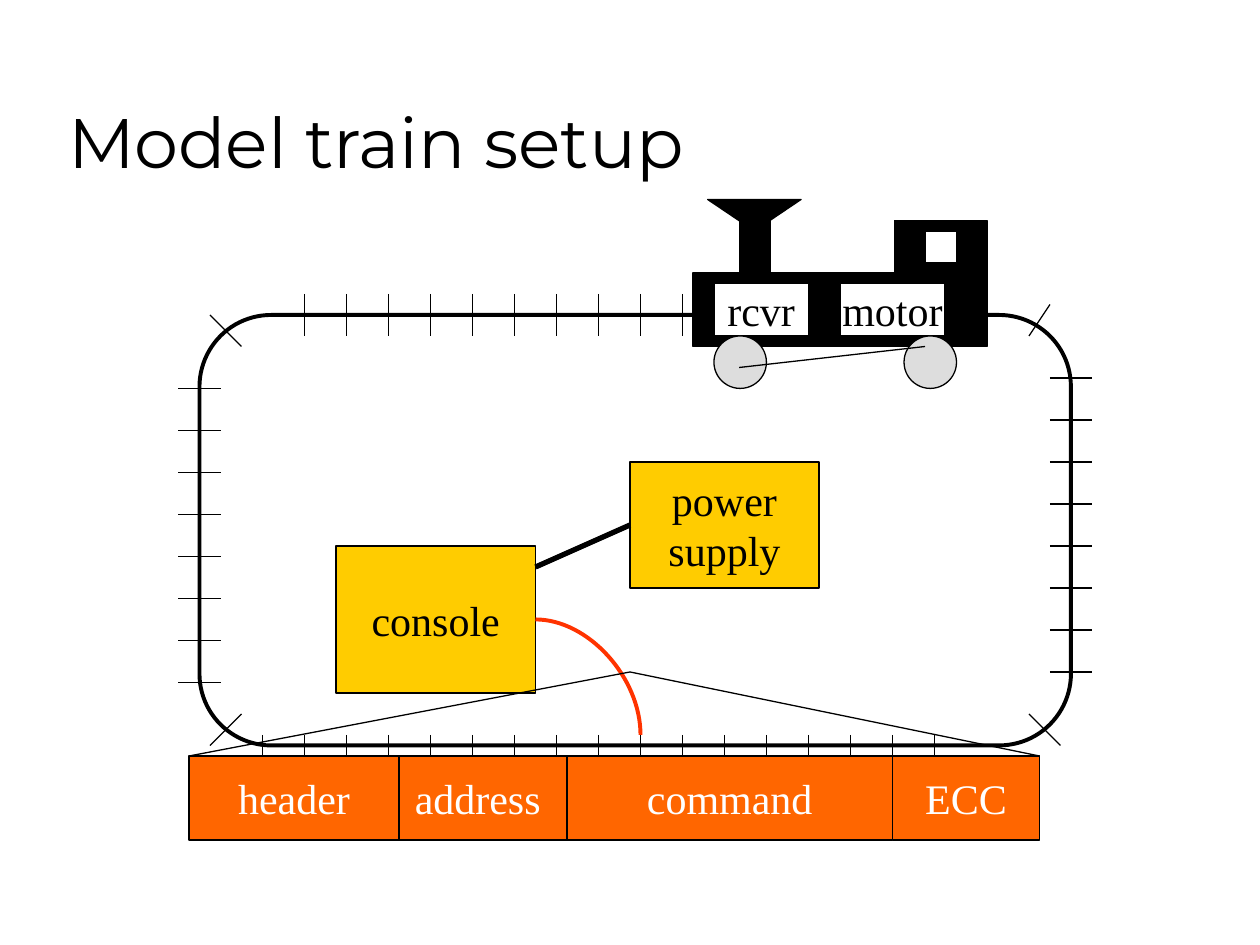
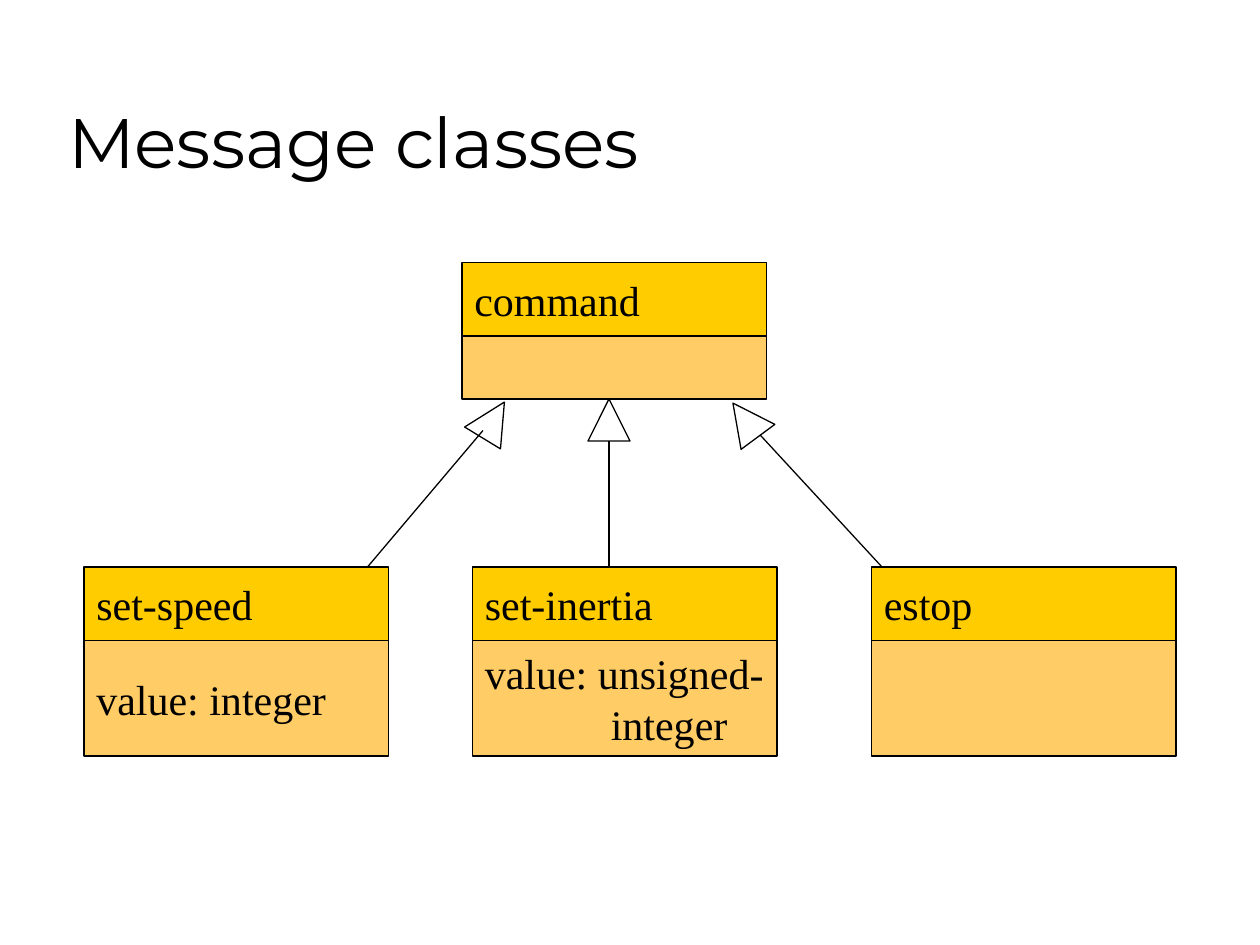
"""Build two slides on a model train: the track setup and the message classes."""
from pptx import Presentation
from pptx.dml.color import RGBColor
from pptx.enum.shapes import MSO_CONNECTOR as LINK, MSO_SHAPE as KIND
from pptx.enum.text import MSO_ANCHOR as ANCHOR, PP_ALIGN as ALIGN
from pptx.oxml.ns import qn
from pptx.oxml.xmlchemy import OxmlElement
from pptx.util import Pt

PX = 7620
BLACK = RGBColor(0, 0, 0)
WHITE = RGBColor(255, 255, 255)
GREY = RGBColor(0xDD, 0xDD, 0xDD)
GOLD = RGBColor(0xFF, 0xCC, 0)
SAND = RGBColor(0xFF, 0xCC, 0x66)
ORANGE = RGBColor(0xFF, 0x66, 0)
RED = RGBColor(0xFF, 0x33, 0)
HEAD, BODY = "Montserrat", "Times New Roman"
TAB = 120

TRACK = (190, 300, 830, 410)
STEP = 40
TOP = (290, 280, 10)
BASE = (250, 700, 17)
LEFT = (170, 370, 8)
RIGHT = (1000, 360, 8)
CORNERS = [(230, 680, 200, 710), (200, 300, 230, 330),
           (1000, 290, 980, 320), (980, 680, 1010, 710)]
ENGINE = [(660, 260, 280, 70), (704, 210, 30, 50), (852, 210, 88, 50)]
FUNNEL = (674, 190, 89, 30)
WINDOW = (881, 220, 30, 30)
WHEELS = [(861, 320, 50, 50), (680, 320, 50, 50)]
ROD = (704, 350, 881, 330)
UNITS = [(["console"], GOLD, (320, 520, 190, 140)),
         (["power", "supply"], GOLD, (600, 440, 180, 120)),
         (["rcvr"], WHITE, (680, 270, 90, 50)),
         (["motor"], WHITE, (800, 270, 100, 50))]
POWER = (510, 540, 600, 500)
SIGNAL = (510, 590, 610, 700)
FIELDS = [("ECC", 850, 140), ("address", 370, 170),
          ("header", 180, 200), ("command", 540, 310)]
ROW, TALL = 720, 80
PEAK, ENDS = (600, 640), (180, 990)

WIDE, CAP = 290, 70
CLASSES = [("command", [], 440, 250, 60),
           ("set-inertia", ["value: unsigned-", "\tinteger"], 450, 540, 110),
           ("set-speed", ["value: integer"], 80, 540, 110),
           ("estop", [], 830, 540, 110)]
TIPS = [(560, 0), (450, 31.4), (690, 323.5)]
STEMS = [(460, 410, 350, 540), (580, 420, 580, 540), (720, 410, 840, 540)]


def emu(nums):
    return [n * PX for n in nums]


def write(frame, lines, font, size, ink, align):
    for i, line in enumerate(lines):
        para = frame.paragraphs[0] if i == 0 else frame.add_paragraph()
        para.alignment = align
        if line.startswith("\t"):
            para._p.get_or_add_pPr().set("marL", str(TAB * PX))
        run = para.add_run()
        run.text = line.strip()
        run.font.name, run.font.size = font, Pt(size)
        run.font.color.rgb = ink


def shape(page, kind, box, fill, weight=0.75):
    item = page.shapes.add_shape(kind, *emu(box))
    item.shadow.inherit = False
    if fill is None:
        item.fill.background()
    else:
        item.fill.solid()
        item.fill.fore_color.rgb = fill
    item.line.color.rgb, item.line.width = BLACK, Pt(weight)
    return item


def label(page, box, fill, lines, ink=BLACK, align=ALIGN.CENTER):
    frame = shape(page, KIND.RECTANGLE, box, fill).text_frame
    frame.word_wrap = False
    frame.vertical_anchor = ANCHOR.MIDDLE
    write(frame, lines, BODY, 24, ink, align)


def link(page, ends, weight=0.75, ink=BLACK, kind=LINK.STRAIGHT):
    item = page.shapes.add_connector(kind, *emu(ends))
    item.line.color.rgb, item.line.width = ink, Pt(weight)
    item._element.spPr.append(OxmlElement("a:effectLst"))
    return item


def start(deck, title):
    page = deck.slides.add_slide(deck.slide_layouts[6])
    frame = page.shapes.add_textbox(*emu((53, 30, 1020, 150))).text_frame
    frame.word_wrap = True
    frame.vertical_anchor = ANCHOR.BOTTOM
    write(frame, [title], HEAD, 40, BLACK, ALIGN.LEFT)
    return page


def ties(page, x, y, count, across):
    for i in range(count):
        if across:
            link(page, (x + i * STEP, y, x + i * STEP, y + 40))
        else:
            link(page, (x, y + i * STEP, x + 40, y + i * STEP))


def setup(deck):
    page = start(deck, "Model train setup")
    shape(page, KIND.ROUNDED_RECTANGLE, TRACK, None, 2.25)
    ties(page, *TOP, True)
    for side in (LEFT, RIGHT):
        ties(page, *side, False)
    for ends in CORNERS:
        link(page, ends)

    for box in ENGINE:
        shape(page, KIND.RECTANGLE, box, BLACK)
    cone = shape(page, KIND.ISOSCELES_TRIANGLE, FUNNEL, BLACK)
    cone._element.spPr.find(qn("a:xfrm")).set("flipV", "1")
    shape(page, KIND.RECTANGLE, WINDOW, WHITE)
    for lines, fill, box in UNITS:
        label(page, box, fill, lines)
    for box in WHEELS:
        shape(page, KIND.OVAL, box, GREY)
    link(page, ROD)
    link(page, POWER, 3)
    bend = link(page, SIGNAL, 2.25, RED, LINK.CURVE)
    bend._element.spPr.find(qn("a:prstGeom")).set("prst", "curvedConnector2")

    ties(page, *BASE, True)
    for name, x, wide in FIELDS:
        label(page, (x, ROW, wide, TALL), ORANGE, [name], WHITE)
    for x in ENDS:
        link(page, (*PEAK, x, ROW))


def classes(deck):
    page = start(deck, "Message classes")
    for name, lines, x, y, tall in CLASSES:
        label(page, (x, y, WIDE, CAP), GOLD, [name], align=ALIGN.LEFT)
        label(page, (x, y + CAP, WIDE, tall), SAND, lines, align=ALIGN.LEFT)

    def tip(x, turn):
        shape(page, KIND.ISOSCELES_TRIANGLE, (x, 380, 40, 40), WHITE).rotation = turn

    for spot in TIPS[:2]:
        tip(*spot)
    for ends in STEMS:
        link(page, ends)
    tip(*TIPS[2])


def main():
    deck = Presentation()
    deck.slide_width, deck.slide_height = emu((1200, 900))
    setup(deck)
    classes(deck)
    deck.save("out.pptx")


if __name__ == "__main__":
    main()
